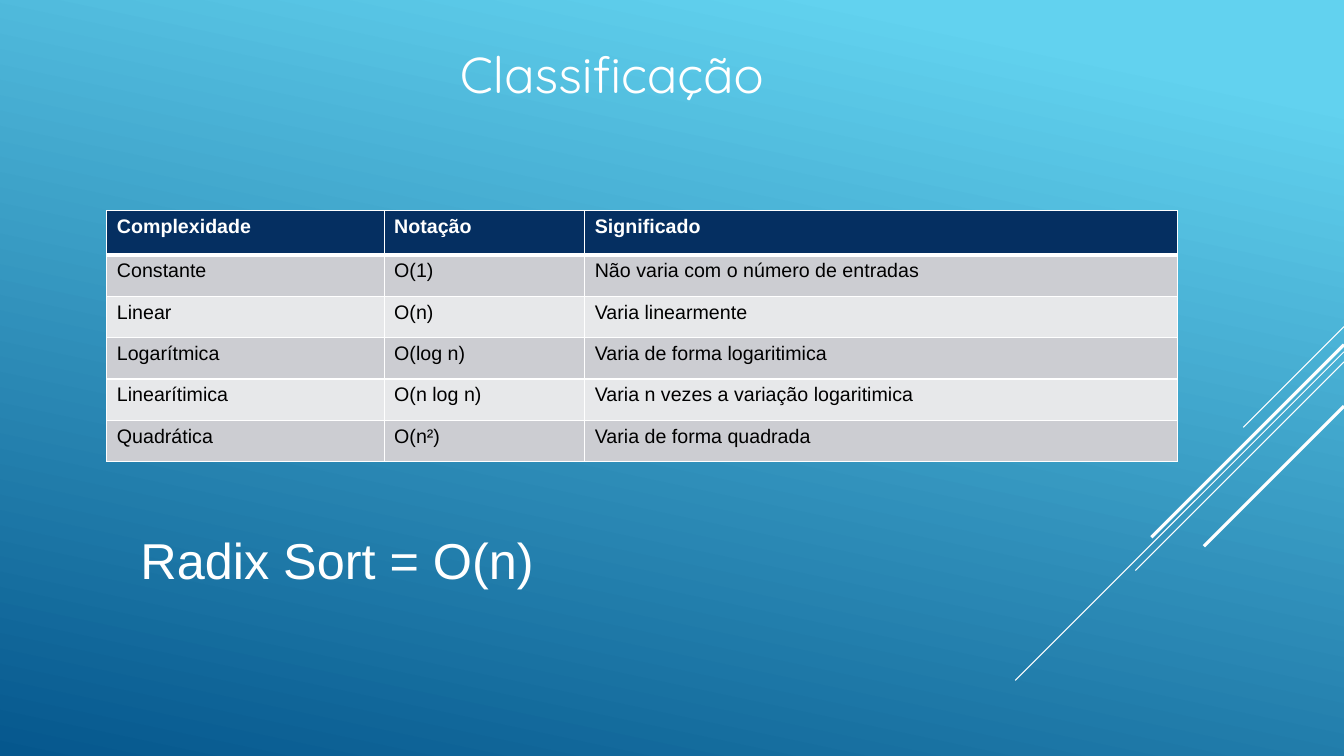
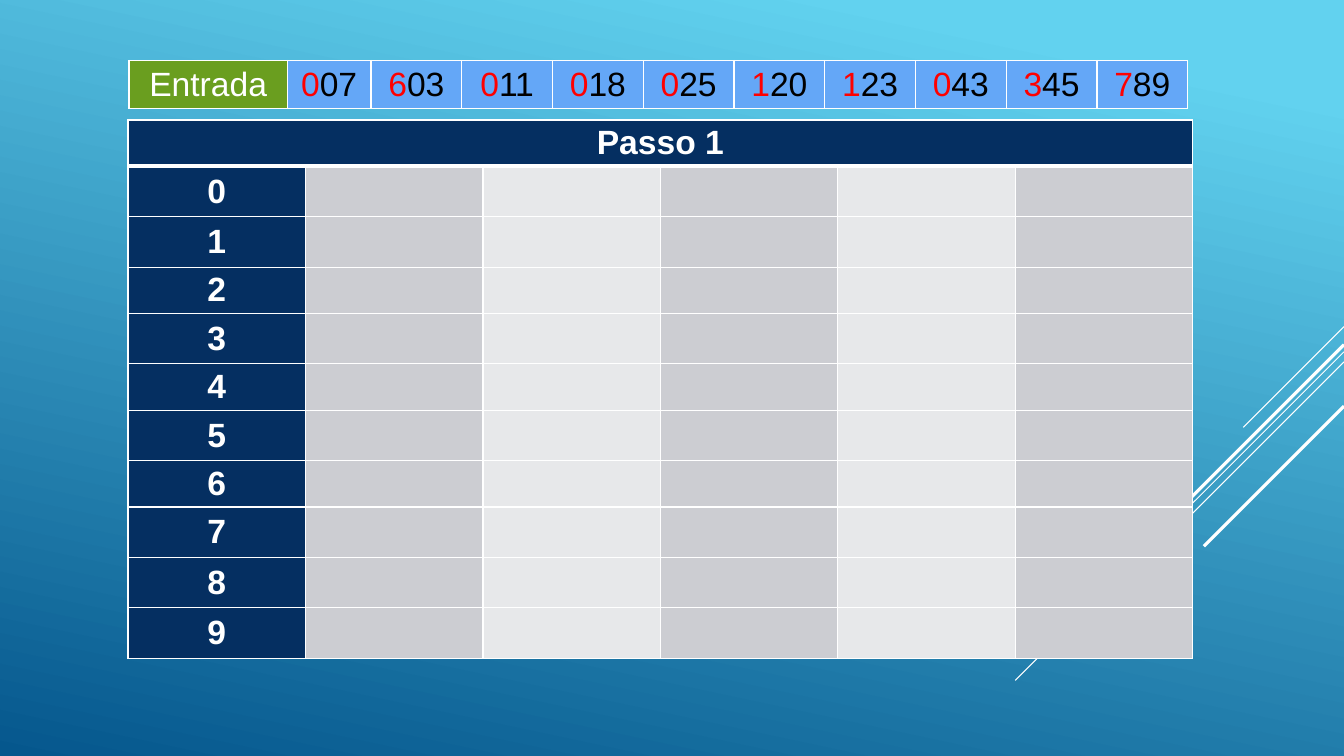
from lxml.etree import SubElement
from pptx import Presentation
from pptx.dml.color import RGBColor
from pptx.enum.shapes import MSO_CONNECTOR
from pptx.enum.text import MSO_ANCHOR, MSO_AUTO_SIZE, PP_ALIGN
from pptx.oxml import parse_xml
from pptx.oxml.ns import nsdecls, qn
from pptx.util import Inches, Pt

WHITE = RGBColor(0xFF, 0xFF, 0xFF)
BLACK = RGBColor(0x00, 0x00, 0x00)
RED = RGBColor(0xFF, 0x00, 0x00)
NAVY = RGBColor(0x05, 0x2F, 0x61)
GREEN = RGBColor(0x6A, 0x9E, 0x1F)
LIGHT_BLUE = RGBColor(0x64, 0xA7, 0xF7)
BANDS = RGBColor(0xCC, 0xCD, 0xD2), RGBColor(0xE7, 0xE8, 0xEA)
SKY = RGBColor(0x62, 0xD2, 0xEF)
OCEAN = RGBColor(0x05, 0x57, 0x8D)

TITLE_FONT = "Quicksand"
BODY_FONT = "Arial"
SLIDE_WIDTH, SLIDE_HEIGHT = 13.33, 7.5

# Height on the right edge, horizontal run and weight of each 45° stripe
STRIPES = [(3.24, 1, 0.75), (3.49, 3.26, 0.75), (3.59, 2.07, 0.75),
           (3.42, 1.91, 2.25), (4.03, 1.39, 2.25)]

COMPLEXITIES = [
    ("Complexidade", "Notação", "Significado"),
    ("Constante", "O(1)", "Não varia com o número de entradas"),
    ("Linear", "O(n)", "Varia linearmente"),
    ("Logarítmica", "O(log n)", "Varia de forma logaritimica"),
    ("Linearítimica", "O(n log n)", "Varia n vezes a variação logaritimica"),
    ("Quadrática", "O(n²)", "Varia de forma quadrada"),
]
ENTRIES = ["007", "603", "011", "018", "025", "120", "123", "043", "345", "789"]
BUCKET_COLUMNS = 6
SHORT_BUCKETS = (2, 4, 6)


def style_master(master, slide):
    """Give the master its gradient and stripes; the stripes are drawn on slide first."""
    background = master.background.fill
    background.gradient()
    background.gradient_angle = 258
    for stop, position, color in zip(background.gradient_stops, (0.1, 1), (SKY, OCEAN)):
        stop.position = position
        stop.color.rgb = color
    for number, (top, run, weight) in enumerate(STRIPES, start=20):
        stripe = slide.shapes.add_connector(
            MSO_CONNECTOR.STRAIGHT, Inches(SLIDE_WIDTH), Inches(top),
            Inches(SLIDE_WIDTH - run), Inches(top + run))
        stripe.line.color.rgb = WHITE
        stripe.line.width = Pt(weight)
        SubElement(stripe.element.spPr, qn("a:effectLst"))
        stripe.element.nvCxnSpPr.cNvPr.set("id", str(number))
        master.shapes.element.append(stripe.element)


def set_font(paragraph, size, color, name=BODY_FONT, bold=False):
    font = paragraph.font
    font.size, font.name, font.bold = Pt(size), name, bold
    font.color.rgb = color


def add_title(slide, text):
    title = slide.shapes.title
    title.left, title.top = Inches(4.46), Inches(0.26)
    title.width, title.height = Inches(3.66), Inches(0.94)
    frame = title.text_frame
    frame.text = text
    frame.vertical_anchor = MSO_ANCHOR.MIDDLE
    frame.margin_left = frame.margin_right = Inches(0.1)
    frame.margin_top = frame.margin_bottom = Inches(0.1)
    paragraph = frame.paragraphs[0]
    paragraph.alignment = PP_ALIGN.LEFT
    set_font(paragraph, 36, WHITE, TITLE_FONT)


def add_conclusion(slide, text):
    box = slide.shapes.add_textbox(Inches(1.06), Inches(5.2), Inches(4.57), Inches(0.71))
    frame = box.text_frame
    frame.word_wrap = True
    frame.auto_size = MSO_AUTO_SIZE.SHAPE_TO_FIT_TEXT
    frame.text = text
    frame.paragraphs[0].alignment = PP_ALIGN.CENTER
    set_font(frame.paragraphs[0], 36, WHITE)


def add_grid(slide, left, top, widths, heights):
    table = slide.shapes.add_table(
        len(heights), len(widths), Inches(left), Inches(top),
        Inches(sum(widths)), Inches(sum(heights))).table
    table.horz_banding = False
    for column, width in zip(table.columns, widths):
        column.width = Inches(width)
    for row, height in zip(table.rows, heights):
        row.height = Inches(height)
    return table


def paint_cell(cell, fill, top=1, bottom=1):
    """Fill a cell and draw its white borders, with top and bottom weights in points."""
    cell.fill.solid()
    cell.fill.fore_color.rgb = fill
    properties = cell._tc.get_or_add_tcPr()
    for index, (side, weight) in enumerate(
            [("lnL", 1), ("lnR", 1), ("lnT", top), ("lnB", bottom)]):
        properties.insert(index, parse_xml(
            f'<a:{side} {nsdecls("a")} w="{Pt(weight)}"><a:solidFill>'
            f'<a:srgbClr val="{WHITE}"/></a:solidFill></a:{side}>'))


def paint_row_cell(cell, row, fill):
    """Paint a cell of a table whose header row has a heavy rule below it."""
    paint_cell(cell, fill, top=3 if row == 1 else 1, bottom=3 if row == 0 else 1)


def write_cell(cell, text, size, color, bold=False, centered=False):
    cell.text = text
    paragraph = cell.text_frame.paragraphs[0]
    if centered:
        paragraph.alignment = PP_ALIGN.CENTER
        cell.vertical_anchor = MSO_ANCHOR.MIDDLE
    set_font(paragraph, size, color, bold=bold)
    return paragraph


def add_complexity_table(slide):
    heights = [0.44] + [0.41] * (len(COMPLEXITIES) - 1)
    table = add_grid(slide, 1.06, 2.09, [2.75, 1.99, 5.88], heights)
    for row, texts in enumerate(COMPLEXITIES):
        header = row == 0
        for column, text in enumerate(texts):
            cell = table.cell(row, column)
            paint_row_cell(cell, row, NAVY if header else BANDS[(row - 1) % 2])
            write_cell(cell, text, 14, WHITE if header else BLACK, bold=header)


def add_entry_table(slide):
    widths = [1.57, 0.83] + [0.9] * (len(ENTRIES) - 1)
    table = add_grid(slide, 1.28, 0.6, widths, [0.48])
    table.first_row = False
    label = table.cell(0, 0)
    paint_cell(label, GREEN)
    write_cell(label, "Entrada", 24, WHITE, centered=True)
    for column, entry in enumerate(ENTRIES, start=1):
        cell = table.cell(0, column)
        paint_cell(cell, LIGHT_BLUE)
        paragraph = write_cell(cell, entry[0], 24, BLACK, centered=True)
        paragraph.runs[0].font.color.rgb = RED
        paragraph.add_run().text = entry[1:]


def add_bucket_table(slide, step):
    heights = [0.46] + [0.46 if digit in SHORT_BUCKETS else 0.5 for digit in range(10)]
    table = add_grid(slide, 1.27, 1.19, [1.76] * BUCKET_COLUMNS, heights)
    for row in range(len(heights)):
        for column in range(BUCKET_COLUMNS):
            cell = table.cell(row, column)
            label = row == 0 or column == 0
            paint_row_cell(cell, row, NAVY if label else BANDS[(column - 1) % 2])
            cell.margin_left = cell.margin_right = Inches(0.09)
            cell.margin_top = cell.margin_bottom = Inches(0.04)
        text = step if row == 0 else str(row - 1)
        write_cell(table.cell(row, 0), text, 24, WHITE, bold=True, centered=True)
    table.cell(0, 0).merge(table.cell(0, BUCKET_COLUMNS - 1))


def main():
    deck = Presentation()
    deck.slide_width, deck.slide_height = Inches(SLIDE_WIDTH), Inches(SLIDE_HEIGHT)
    title_only, blank = deck.slide_layouts[5], deck.slide_layouts[6]

    classification = deck.slides.add_slide(title_only)
    style_master(deck.slide_master, classification)
    add_title(classification, "Classificação")
    add_complexity_table(classification)
    add_conclusion(classification, "Radix Sort = O(n)")

    first_step = deck.slides.add_slide(blank)
    add_entry_table(first_step)
    add_bucket_table(first_step, "Passo 1")

    deck.save("out.pptx")


if __name__ == "__main__":
    main()
